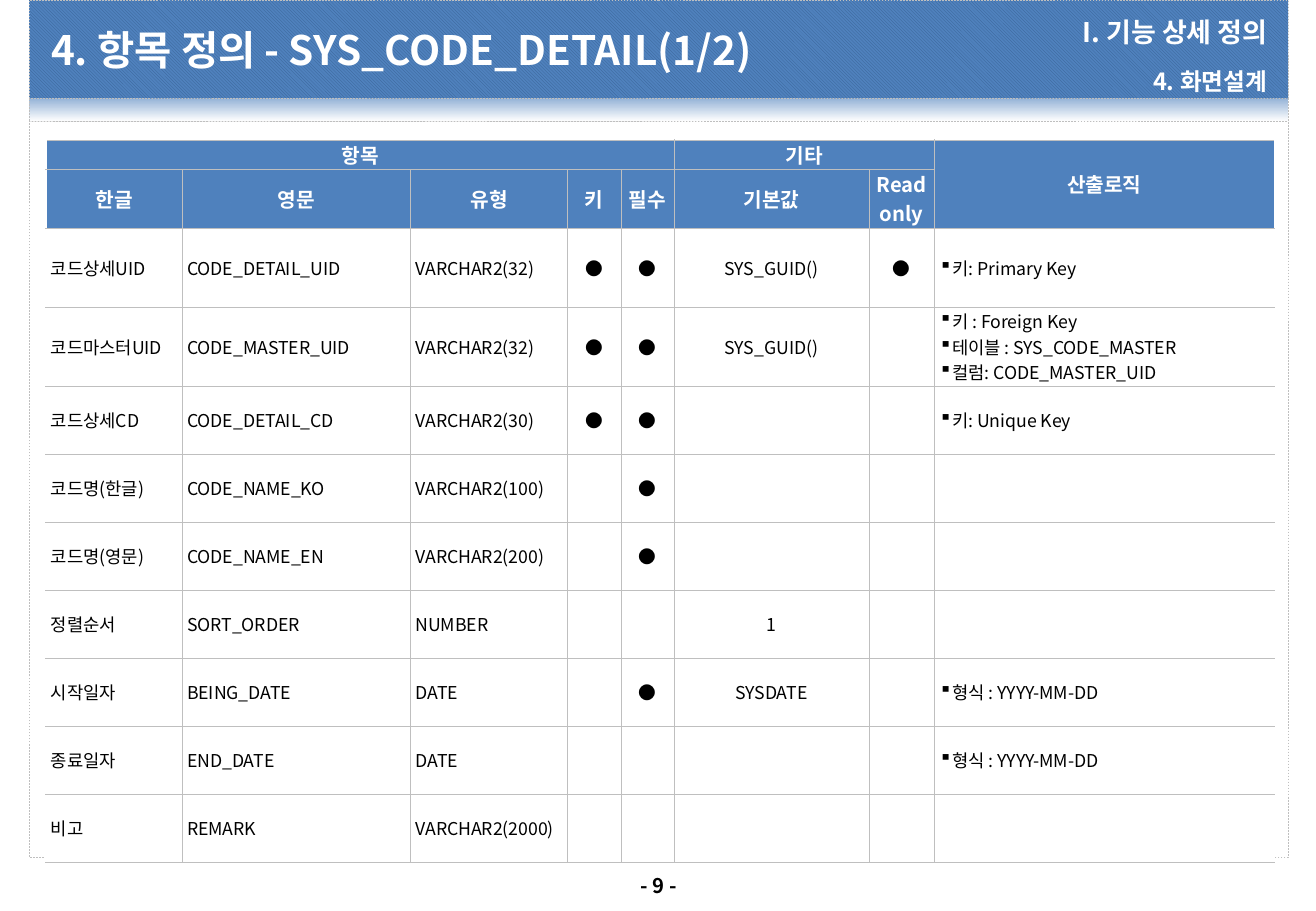
from lxml import etree
from pptx import Presentation
from pptx import util as u
from pptx.dml.color import RGBColor
from pptx.enum import dml, shapes, text
from pptx.oxml import ns

FONT = "Noto Sans CJK KR"
HEX = {"blue": "4F81BD", "deep": "376092", "pale": "95B3D7",
       "gray": "BFBFBF", "white": "FFFFFF", "black": "000000"}
RGB = {name: RGBColor.from_string(code) for name, code in HEX.items()}
LEFT, MID, RIGHT = text.PP_ALIGN.LEFT, text.PP_ALIGN.CENTER, text.PP_ALIGN.RIGHT


def put(frame, words, size, color, bold, align):
    """Write one paragraph per line of words."""
    frame.text = words
    for par in frame.paragraphs:
        par.alignment = align
        style = {"size": u.Pt(size), "bold": bold, "name": FONT}
        for run in par.runs:
            for key, value in style.items():
                setattr(run.font, key, value)
            run.font.color.rgb = RGB[color]
            east = etree.SubElement(run.font._element, ns.qn("a:ea"))
            east.set("typeface", FONT)


prs = Presentation()
prs.slide_width, prs.slide_height = u.Inches(10.83), u.Inches(7.5)
slide = prs.slides.add_slide(prs.slide_layouts[5])

# Panels: shade under the banner, page body, banner
panels = []
for top, height in [(0.81, 0.19), (1, 6.06), (0, 0.81)]:
    box = slide.shapes.add_shape(
        shapes.MSO_SHAPE.RECTANGLE, u.Inches(0.24), u.Inches(top),
        u.Inches(10.36), u.Inches(height))
    box.shadow.inherit = False
    box.line.color.rgb = RGB["gray"]
    box.line.width = u.Pt(0.25)
    box.line.dash_style = dml.MSO_LINE.DASH
    panels.append(box)
shade, body, banner = panels

shade.fill.gradient()
shade.fill.gradient_angle = 270
for stop, color in zip(shade.fill.gradient_stops, ["pale", "white"]):
    stop.color.rgb = RGB[color]
body.fill.solid()
body.fill.fore_color.rgb = RGB["white"]
banner.rotation = 180
banner.fill.patterned()
banner.fill.pattern = dml.MSO_PATTERN.LIGHT_DOWNWARD_DIAGONAL
banner.fill.fore_color.rgb = RGB["deep"]
banner.fill.back_color.rgb = RGB["blue"]

# Title in front of the banner, section labels, page number
title = slide.shapes.title
banner.element.addnext(title.element)
chapter, section, page = [slide.shapes.add_textbox(0, 0, 0, 0) for _ in range(3)]
labels = [
    (title, (0.38, 0.08, 6.69, 0.66), "4. 항목 정의 - SYS_CODE_DETAIL(1/2)", 24, "white", LEFT),
    (chapter, (7.07, 0.08, 3.4, 0.37), "I. 기능 상세 정의", 16, "white", RIGHT),
    (section, (7.07, 0.47, 3.4, 0.27), "4. 화면설계", 14, "white", RIGHT),
    (page, (5.08, 7.14, 0.68, 0.3), "- 9 -", 12, "black", MID),
]
for box, place, words, size, color, align in labels:
    for key, value in zip(["left", "top", "width", "height"], place):
        setattr(box, key, u.Inches(value))
    pad = u.Inches(0.04)
    frame = {"margin_left": pad, "margin_right": pad, "margin_top": pad,
             "margin_bottom": pad, "word_wrap": box is not page,
             "auto_size": text.MSO_AUTO_SIZE.NONE,
             "vertical_anchor": text.MSO_ANCHOR.MIDDLE}
    for key, value in frame.items():
        setattr(box.text_frame, key, value)
    put(box.text_frame, words, size, color, True, align)
section.text_frame.paragraphs[0].line_spacing = 1.5

# Field table
DOT = "●"
rows = [
    ["항목", "", "", "", "", "기타", "", "산출로직"],
    ["한글", "영문", "유형", "키", "필수", "기본값", "Read only", ""],
    ["코드상세UID", "CODE_DETAIL_UID", "VARCHAR2(32)", DOT, DOT, "SYS_GUID()", DOT,
     "키: Primary Key"],
    ["코드마스터UID", "CODE_MASTER_UID", "VARCHAR2(32)", DOT, DOT, "SYS_GUID()", "",
     "키 : Foreign Key\n테이블 : SYS_CODE_MASTER\n컬럼: CODE_MASTER_UID"],
    ["코드상세CD", "CODE_DETAIL_CD", "VARCHAR2(30)", DOT, DOT, "", "", "키: Unique Key"],
    ["코드명(한글)", "CODE_NAME_KO", "VARCHAR2(100)", "", DOT, "", "", ""],
    ["코드명(영문)", "CODE_NAME_EN", "VARCHAR2(200)", "", DOT, "", "", ""],
    ["정렬순서", "SORT_ORDER", "NUMBER", "", "", "1", "", ""],
    ["시작일자", "BEING_DATE", "DATE", "", DOT, "SYSDATE", "", "형식 : YYYY-MM-DD"],
    ["종료일자", "END_DATE", "DATE", "", "", "", "", "형식 : YYYY-MM-DD"],
    ["비고", "REMARK", "VARCHAR2(2000)", "", "", "", "", ""],
]
widths = [1.12, 1.88, 1.29, 0.44, 0.44, 1.6, 0.54, 2.8]
heights = [0.19, 0.38] + [0.65] * 2 + [0.56] * 7
last = len(widths) - 1
grid = slide.shapes.add_table(
    len(rows), len(widths), u.Inches(0.38), u.Inches(1.15),
    u.Inches(sum(widths)), u.Inches(sum(heights))).table
for col, width in zip(grid.columns, widths):
    col.width = u.Inches(width)
for row, height in zip(grid.rows, heights):
    row.height = u.Inches(height)
for start, end in [((0, 0), (0, 4)), ((0, 5), (0, 6)), ((0, 7), (1, 7))]:
    grid.cell(*start).merge(grid.cell(*end))

for r, row in enumerate(rows):
    head = r < 2
    for c, words in enumerate(row):
        cell = grid.cell(r, c)
        form = {"margin_left": u.Inches(0.04), "margin_right": u.Inches(0.04),
                "margin_top": 0, "margin_bottom": 0,
                "vertical_anchor": text.MSO_ANCHOR.MIDDLE}
        for key, value in form.items():
            setattr(cell, key, value)

        # Borders on all sides but the table's left and right edges
        props = cell._tc.get_or_add_tcPr()
        for side in ["L"] * (c > 0) + ["R"] * (c < last) + ["T", "B"]:
            edge = etree.SubElement(props, ns.qn("a:ln" + side), w=str(u.Pt(0.25)))
            ink = etree.SubElement(edge, ns.qn("a:solidFill"))
            etree.SubElement(ink, ns.qn("a:srgbClr"), val=HEX["gray"])
        cell.fill.solid()
        cell.fill.fore_color.rgb = RGB["blue" if head else "white"]

        if not words:
            continue
        if head:
            put(cell.text_frame, words, 12, "white", True, MID)
            continue
        align = MID if 3 <= c < last else LEFT
        put(cell.text_frame, words, 10.5, "black", False, align)
        if c == last:
            for par in cell.text_frame.paragraphs:
                form = par._p.get_or_add_pPr()
                form.set("marL", str(u.Inches(0.1)))
                form.set("indent", str(u.Inches(-0.1)))
                etree.SubElement(form, ns.qn("a:buChar"), char="▪")

prs.save("out.pptx")
